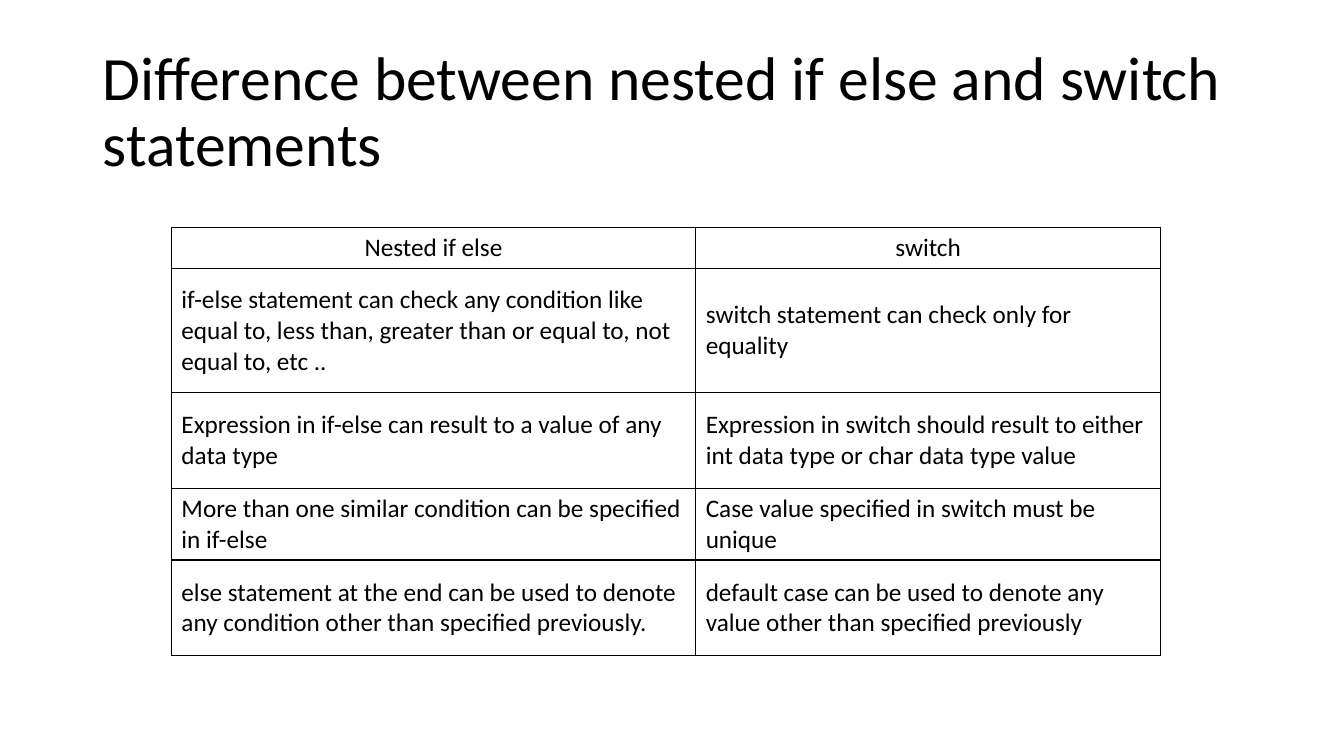
from lxml.etree import SubElement
from pptx import Presentation
from pptx.dml.color import RGBColor
from pptx.enum.text import MSO_ANCHOR as Anchor, MSO_AUTO_SIZE as AutoSize, PP_ALIGN as Align
from pptx.oxml.ns import qn
from pptx.util import Inches, Pt

TITLE = "Difference between nested if else and switch statements"
COMPARISON = [
    ("Nested if else", "switch"),
    ("if-else statement can check any condition like equal to, less than, "
     "greater than or equal to, not equal to, etc ..",
     "switch statement can check only for equality"),
    ("Expression in if-else can result to a value of any data type",
     "Expression in switch should result to either int data type or char data type value"),
    ("More than one similar condition can be specified in if-else",
     "Case value specified in switch must be unique"),
    ("else statement at the end can be used to denote any condition other than "
     "specified previously.",
     "default case can be used to denote any value other than specified previously"),
]
COLUMN_WIDTHS = [5.2, 4.61]
ROW_HEIGHTS = [0.38, 1.23, 0.95, 0.66, 0.95]


def colour(value):
    return RGBColor.from_string(value)


def apply(target, values):
    for name, value in values.items():
        setattr(target, name, value)


class SlideBuilder:
    font = "Calibri"
    ink = "000000"

    def __init__(self, page):
        self.page = page

    def add_text(self, para, text, size, **para_format):
        apply(para, para_format)
        span = para.add_run()
        span.text = text
        apply(span.font, {"name": self.font, "size": Pt(size), "bold": False})
        span.font.color.rgb = colour(self.ink)

    def title(self, text, left, top, width, height):
        box = self.page.shapes.title
        apply(box, {"left": Inches(left), "top": Inches(top),
                    "width": Inches(width), "height": Inches(height)})
        apply(box.text_frame, {"word_wrap": True, "auto_size": AutoSize.NONE,
                               "vertical_anchor": Anchor.MIDDLE})
        self.add_text(box.text_frame.paragraphs[0], text, 44,
                      alignment=Align.LEFT, line_spacing=0.9)

    def border(self, cell, width):
        properties = cell._tc.get_or_add_tcPr()
        for position, side in enumerate(("lnL", "lnR", "lnT", "lnB")):
            line = properties.makeelement(qn(f"a:{side}"), {"w": str(Pt(width))})
            properties.insert(position, line)
            fill = SubElement(line, qn("a:solidFill"))
            SubElement(fill, qn("a:srgbClr"), val=self.ink)

    def table(self, rows, left, top, widths, heights):
        frame = self.page.shapes.add_table(
            len(rows), len(widths), Inches(left), Inches(top),
            Inches(sum(widths)), Inches(sum(heights)))
        grid = frame.table
        apply(grid, {"first_row": False, "horz_banding": False})
        for column, width in zip(grid.columns, widths):
            column.width = Inches(width)
        for index, (row, height, texts) in enumerate(zip(grid.rows, heights, rows)):
            row.height = Inches(height)
            header = index == 0
            for cell, text in zip(row.cells, texts):
                cell.fill.background()
                cell.vertical_anchor = Anchor.TOP if header else Anchor.MIDDLE
                self.border(cell, 1)
                self.add_text(cell.text_frame.paragraphs[0], text, 18,
                              alignment=Align.CENTER if header else Align.LEFT)


def main():
    deck = Presentation()
    apply(deck, {"slide_width": Inches(13.33), "slide_height": Inches(7.5)})
    builder = SlideBuilder(deck.slides.add_slide(deck.slide_layouts[5]))

    # Heading
    builder.title(TITLE, 0.92, 0.4, 11.5, 1.45)

    # Comparison table
    builder.table(COMPARISON, 1.7, 2.26, COLUMN_WIDTHS, ROW_HEIGHTS)

    deck.save("out.pptx")


if __name__ == "__main__":
    main()
